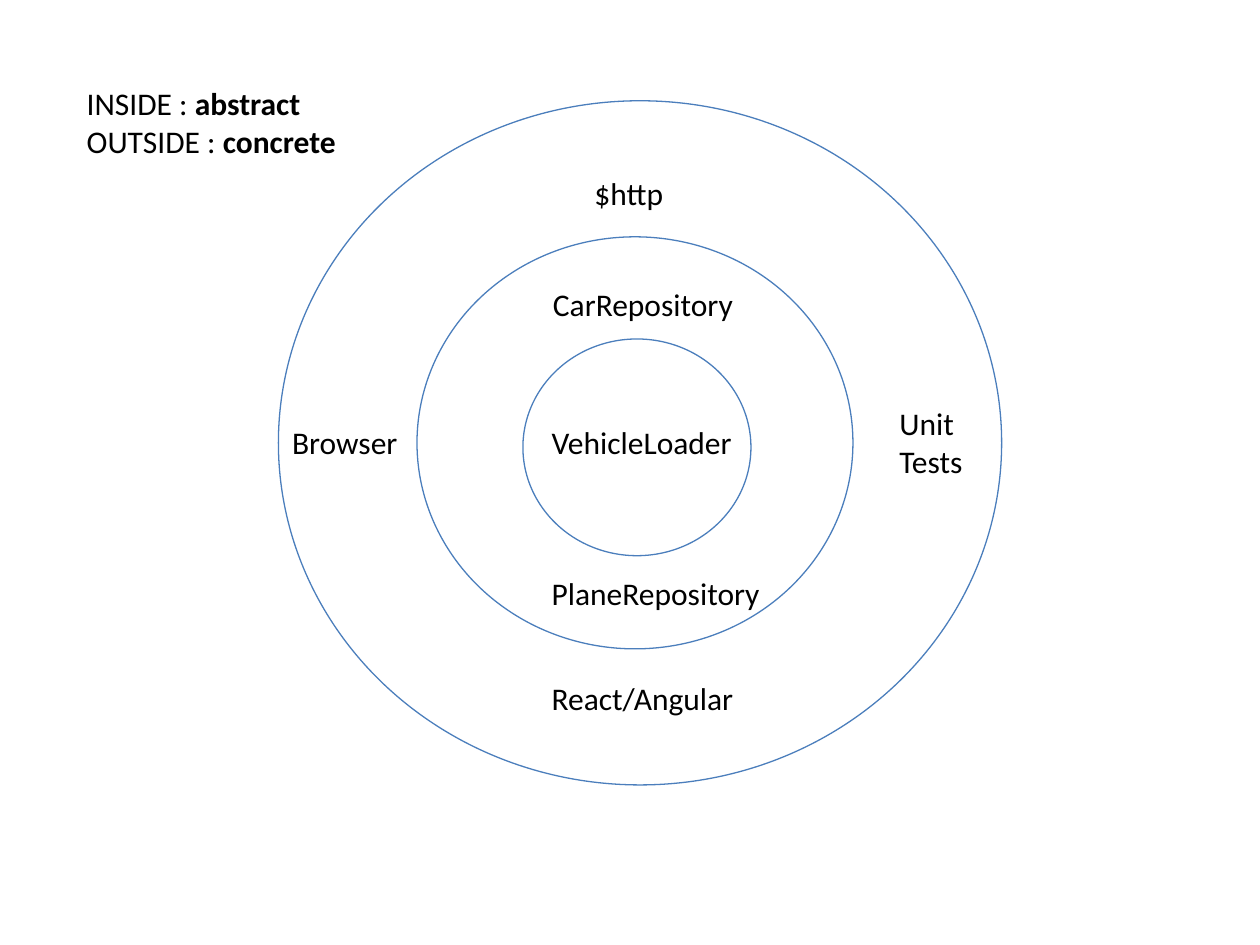
"""Build a slide of nested rings running from abstract to concrete."""
from pptx import Presentation
from pptx.dml.color import RGBColor
from pptx.enum import shapes, text
from pptx.util import Inches, Pt

RINGS = [(2.21, 0.8, 5.74, 5.43), (3.31, 1.88, 3.46, 3.27), (4.15, 2.69, 1.81, 1.72)]
LABELS = [
    ("VehicleLoader", 2.07, 2.51, 1.81, 0.4),
    ("CarRepository", 2.08, 1.41, 1.77, 0.4),
    ("$http", 2.41, 0.53, 0.87, 0.4),
    ("PlaneRepository", 2.07, 3.71, 2.02, 0.4),
    ("React/Angular", 2.07, 4.54, 2.14, 0.4),
    ("Browser", 0.01, 2.51, 1.18, 0.4),
    ("Unit Tests", 4.83, 2.36, 0.87, 0.71),
]
LEGEND = [("INSIDE : ", "abstract"), ("OUTSIDE : ", "concrete")]


def color(value):
    """Return the colour for a hex string."""
    return RGBColor.from_string(value)


def add_text(page, box, lines):
    """Place a text box whose lines are lists of (wording, bold) spans."""
    frame = page.shapes.add_textbox(*map(Inches, box)).text_frame
    frame.word_wrap = True
    frame.auto_size = text.MSO_AUTO_SIZE.SHAPE_TO_FIT_TEXT
    for index, spans in enumerate(lines):
        para = frame.add_paragraph() if index else frame.paragraphs[0]
        for wording, bold in spans:
            span = para.add_run()
            span.text = wording
            span.font.name = "Calibri"
            span.font.size = Pt(18)
            span.font.bold = bold
            span.font.color.rgb = color("000000")


def add_ring(page, box):
    """Draw one white ellipse with a thin blue outline."""
    ring = page.shapes.add_shape(shapes.MSO_SHAPE.OVAL, *map(Inches, box))
    ring.shadow.inherit = False
    ring.fill.solid()
    ring.fill.fore_color.rgb = color("FFFFFF")
    ring.line.color.rgb = color("4B7EBC")
    ring.line.width = Pt(0.75)


def add_diagram(page, rings):
    """Draw the rings, then the labels relative to the outer ring."""
    for box in rings:
        add_ring(page, box)
    left, top = rings[0][:2]
    for wording, x, y, width, height in LABELS:
        add_text(page, (left + x, top + y, width, height), [[(wording, False)]])


def add_legend(page, box):
    """Write the key that explains inside and outside."""
    add_text(page, box, [[(side, False), (kind, True)] for side, kind in LEGEND])


def main():
    """Build and save the deck."""
    deck = Presentation()
    deck.slide_width, deck.slide_height = Inches(10), Inches(7.5)
    page = deck.slides.add_slide(deck.slide_layouts[6])
    add_diagram(page, RINGS)
    add_legend(page, (0.59, 0.62, 2.36, 0.71))
    deck.save("out.pptx")


main()
